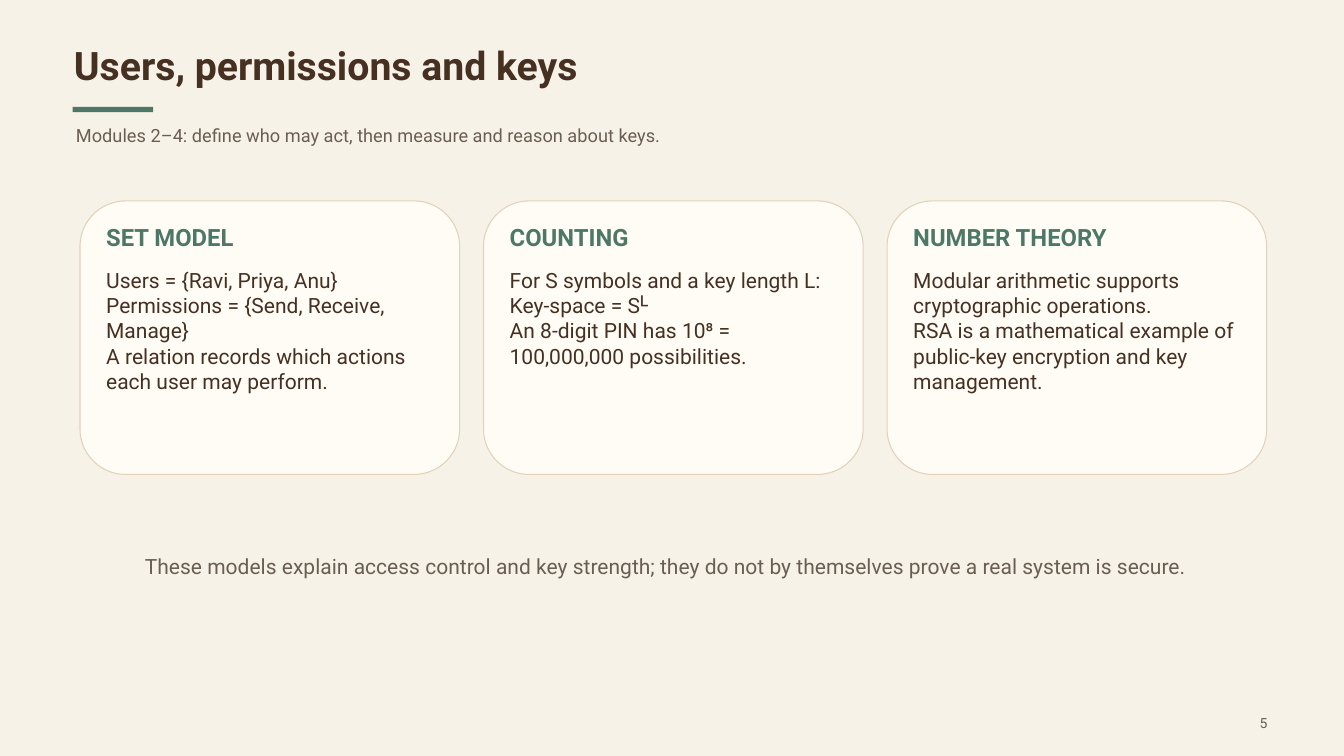
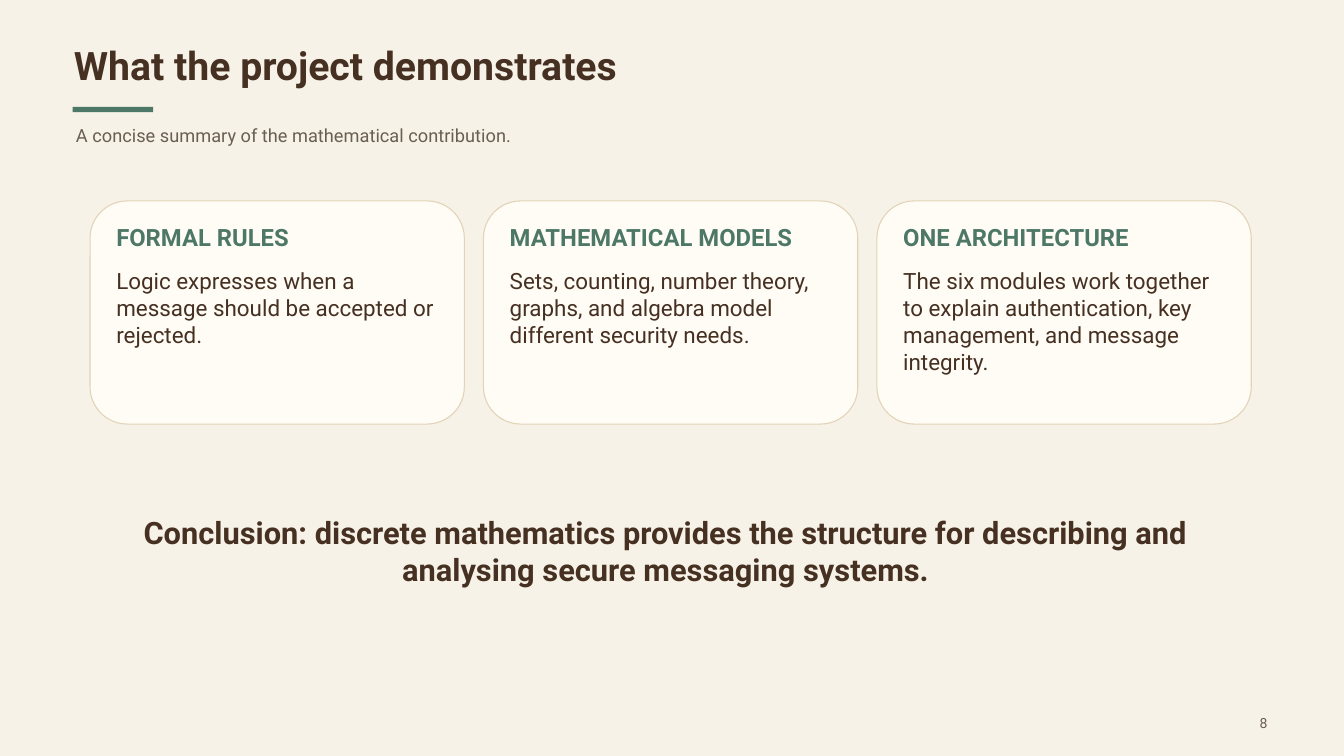
from pptx import Presentation
from pptx.dml.color import RGBColor
from pptx.enum.shapes import MSO_SHAPE as Shape
from pptx.enum.text import MSO_ANCHOR as Anchor, MSO_AUTO_SIZE as AutoSize, PP_ALIGN as Align
from pptx.util import Inches, Pt

CREAM = RGBColor(0xF7, 0xF2, 0xE7)
CARD = RGBColor(0xFF, 0xFC, 0xF6)
CARD_EDGE = RGBColor(0xE2, 0xD2, 0xB8)
BROWN = RGBColor(0x46, 0x30, 0x22)
TAUPE = RGBColor(0x69, 0x5E, 0x52)
GREEN = RGBColor(0x4D, 0x77, 0x66)

FONT = "Roboto"
LINE_SPACING = 1.2
CARD_TOP = 2.99
CARD_PADDING = 0.39
TITLE_ONLY = 5

TITLE = {"size": 42, "color": BROWN, "bold": True}
SUBTITLE = {"size": 19.5, "color": TAUPE}
HEADING = {"size": 25.5, "color": GREEN, "bold": True}
PAGE_NUMBER = {"size": 15, "color": TAUPE, "align": Align.RIGHT}
NOTE = {"size": 22.5, "color": TAUPE, "align": Align.CENTER}
CONCLUSION = {"size": 33, "color": BROWN, "bold": True, "align": Align.CENTER}

SLIDES = [
    {
        "title": "Users, permissions and keys",
        "subtitle": "Modules 2–4: define who may act, then measure and reason about keys.",
        "number": 5,
        "cards": [
            ("SET MODEL", [
                "Users = {Ravi, Priya, Anu}",
                "Permissions = {Send, Receive, Manage}",
                "A relation records which actions each user may perform.",
            ]),
            ("COUNTING", [
                "For S symbols and a key length L:",
                "Key-space = Sᴸ",
                "An 8-digit PIN has 10⁸ = 100,000,000 possibilities.",
            ]),
            ("NUMBER THEORY", [
                "Modular arithmetic supports cryptographic operations.",
                "RSA is a mathematical example of public-key encryption and key management.",
            ]),
        ],
        "card_row": {"left": 1.19, "right": 18.85, "width": 5.65, "height": 4.07, "body_size": 22.5},
        "closing": "These models explain access control and key strength; "
                   "they do not by themselves prove a real system is secure.",
        "closing_box": (1.55, 8.23, 16.71, 0.73),
        "closing_style": NOTE,
    },
    {
        "title": "What the project demonstrates",
        "subtitle": "A concise summary of the mathematical contribution.",
        "number": 8,
        "cards": [
            ("FORMAL RULES", [
                "Logic expresses when a message should be accepted or rejected.",
            ]),
            ("MATHEMATICAL MODELS", [
                "Sets, counting, number theory, graphs, and algebra model different security needs.",
            ]),
            ("ONE ARCHITECTURE", [
                "The six modules work together to explain authentication, "
                "key management, and message integrity.",
            ]),
        ],
        "card_row": {"left": 1.34, "right": 18.62, "width": 5.57, "height": 3.32, "body_size": 24},
        "closing": "Conclusion: discrete mathematics provides the structure "
                   "for describing and analysing secure messaging systems.",
        "closing_box": (1.7, 7.64, 16.41, 1.02),
        "closing_style": CONCLUSION,
    },
]


class Deck:
    def __init__(self):
        self.presentation = Presentation()
        self.presentation.slide_width = Inches(20)
        self.presentation.slide_height = Inches(11.25)
        fill = self.presentation.slide_master.background.fill
        fill.solid()
        fill.fore_color.rgb = CREAM
        self.slide = None

    def add_slide(self, title, subtitle, number):
        layout = self.presentation.slide_layouts[TITLE_ONLY]
        self.slide = self.presentation.slides.add_slide(layout)
        placeholder = self.slide.shapes.title
        box = {"left": 1.1, "top": 0.62, "width": 17.76, "height": 0.73}
        for name, value in box.items():
            setattr(placeholder, name, Inches(value))
        self.set_text(placeholder, [title], TITLE)
        self.block(Shape.RECTANGLE, (1.08, 1.59, 1.2, 0.08), GREEN)
        self.text((1.13, 1.85, 17.46, 0.53), [subtitle], SUBTITLE)
        self.text((18.21, 10.63, 0.65, 0.2), [str(number)], PAGE_NUMBER)

    def set_text(self, shape, lines, style):
        frame = shape.text_frame
        frame_format = {
            "margin_left": 0, "margin_top": 0, "margin_right": 0, "margin_bottom": 0,
            "word_wrap": True, "vertical_anchor": Anchor.TOP,
            "auto_size": AutoSize.SHAPE_TO_FIT_TEXT,
        }
        for name, value in frame_format.items():
            setattr(frame, name, value)
        frame.text = "\n".join(lines)
        font_format = {"name": FONT, "size": Pt(style["size"]), "bold": style.get("bold", False)}
        for paragraph in frame.paragraphs:
            paragraph.alignment = style.get("align", Align.LEFT)
            paragraph.line_spacing = Pt(style["size"] * LINE_SPACING)
            for name, value in font_format.items():
                setattr(paragraph.font, name, value)
            paragraph.font.color.rgb = style["color"]

    def text(self, box, lines, style):
        shape = self.slide.shapes.add_textbox(*map(Inches, box))
        self.set_text(shape, lines, style)

    def block(self, kind, box, color, edge=None):
        shape = self.slide.shapes.add_shape(kind, *map(Inches, box))
        shape.shadow.inherit = False
        shape.fill.solid()
        shape.fill.fore_color.rgb = color
        if edge is None:
            shape.line.fill.background()
        else:
            shape.line.color.rgb = edge
            shape.line.width = Pt(1.13)

    def card(self, box, heading, lines, body_size):
        left, top, width, height = box
        text_left = left + CARD_PADDING
        text_width = width - 2 * CARD_PADDING
        self.block(Shape.ROUNDED_RECTANGLE, box, CARD, CARD_EDGE)
        self.text((text_left, top + 0.33, text_width, 0.43), [heading], HEADING)
        self.text((text_left, top + 0.99, text_width, height - 1.29), lines,
                  {"size": body_size, "color": BROWN})

    def card_row(self, cards, left, right, width, height, body_size):
        step = (right - left - width) / (len(cards) - 1)
        for index, (heading, lines) in enumerate(cards):
            box = (left + index * step, CARD_TOP, width, height)
            self.card(box, heading, lines, body_size)


def main():
    deck = Deck()
    for content in SLIDES:
        deck.add_slide(content["title"], content["subtitle"], content["number"])
        deck.card_row(content["cards"], **content["card_row"])
        deck.text(content["closing_box"], [content["closing"]], content["closing_style"])
    deck.presentation.save("out.pptx")


if __name__ == "__main__":
    main()
